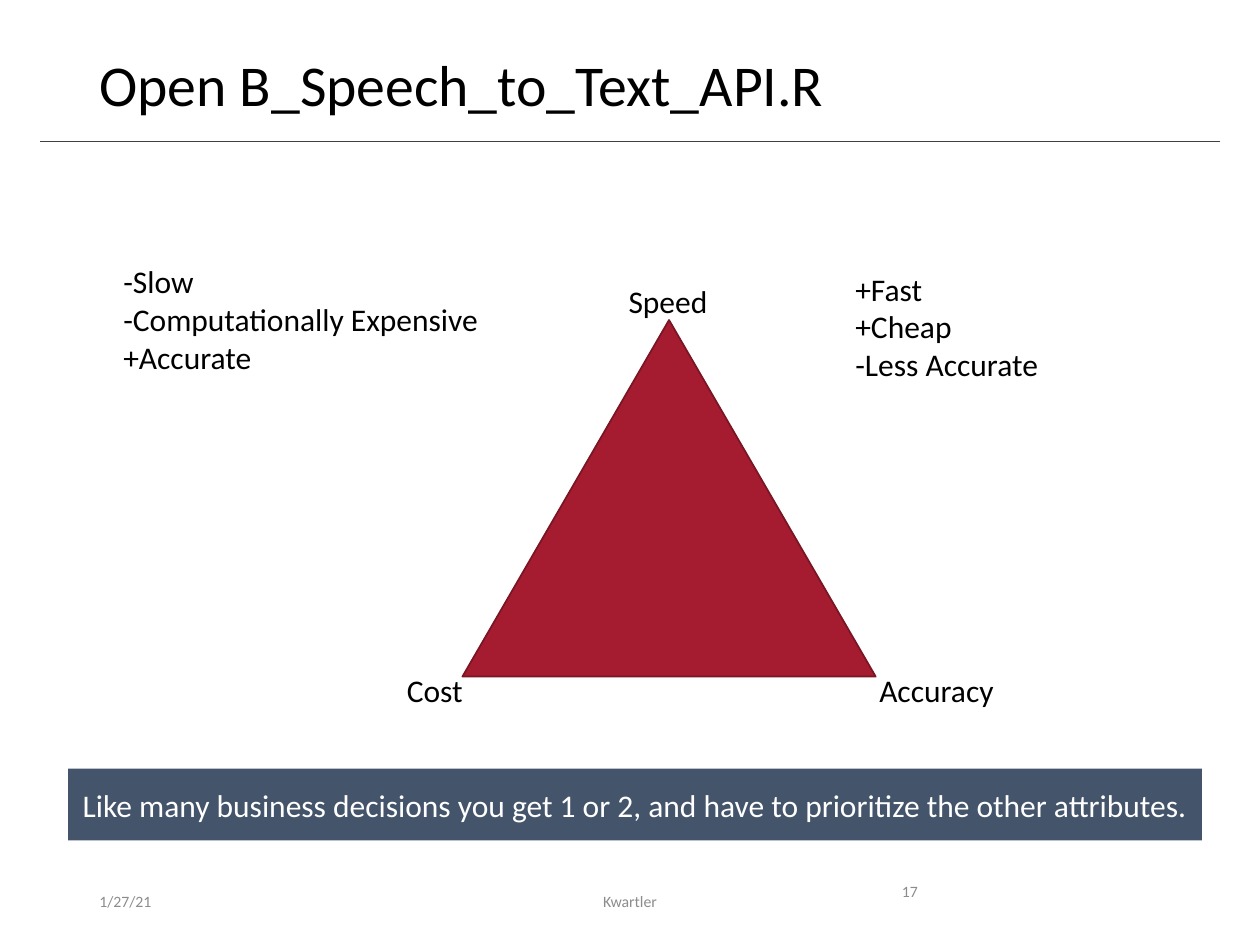
from dataclasses import dataclass

from lxml.etree import SubElement
from pptx import Presentation
from pptx.dml.color import RGBColor
from pptx.enum.shapes import MSO_CONNECTOR, MSO_SHAPE
from pptx.enum.text import MSO_ANCHOR, PP_ALIGN
from pptx.oxml.ns import qn
from pptx.util import Inches, Pt


@dataclass(frozen=True)
class Theme:
    font: str = "Calibri"
    text: str = "000000"
    light: str = "FFFFFF"
    muted: str = "8C8C8C"
    rule: str = "404040"
    crimson: str = "A51C30"
    crimson_dark: str = "7A1524"
    slate: str = "44546A"
    title_size: int = 33
    body_size: int = 18
    footer_size: int = 9


THEME = Theme()


def rgb(value):
    return RGBColor.from_string(value)


def box(at):
    return [Inches(v) for v in at]


def write(tf, *lines, size=THEME.body_size, color=THEME.text,
          align=PP_ALIGN.LEFT, anchor=MSO_ANCHOR.TOP, wrap=True, spacing=None):
    """Fill a text frame, one paragraph for each line."""
    tf.word_wrap = wrap
    tf.vertical_anchor = anchor
    for i, line in enumerate(lines):
        p = tf.paragraphs[0] if i == 0 else tf.add_paragraph()
        p.alignment = align
        p.line_spacing = spacing
        r = p.add_run()
        r.text = line
        r.font.name = THEME.font
        r.font.size = Pt(size)
        r.font.color.rgb = rgb(color)


def add_text(s, at, *lines, **fmt):
    write(s.shapes.add_textbox(*box(at)).text_frame, *lines, **fmt)


def add_shape(s, kind, at, fill, line=None):
    sp = s.shapes.add_shape(kind, *box(at))
    sp.shadow.inherit = False
    sp.fill.solid()
    sp.fill.fore_color.rgb = rgb(fill)
    if line:
        sp.line.color.rgb = rgb(line)
        sp.line.width = Pt(1)
    else:
        sp.line.fill.background()
    return sp


def add_rule(s, left, right, y):
    c = s.shapes.add_connector(MSO_CONNECTOR.STRAIGHT, *box((left, y, right, y)))
    c.line.color.rgb = rgb(THEME.rule)
    c.line.width = Pt(0.5)
    SubElement(c._element.spPr, qn("a:effectLst"))


def main():
    prs = Presentation()
    prs.slide_width, prs.slide_height = Inches(10), Inches(7.5)
    s = prs.slides.add_slide(prs.slide_layouts[6])

    # Title and rule
    add_rule(s, 0.32, 9.68, 1.12)
    add_text(s, (0.69, 0.4, 8.62, 0.65), "Open B_Speech_to_Text_API.R",
             size=THEME.title_size, spacing=0.9)

    # Trade-off triangle with its corner labels
    add_shape(s, MSO_SHAPE.ISOSCELES_TRIANGLE, (3.67, 2.54, 3.28, 2.83),
              THEME.crimson, THEME.crimson_dark)
    for label, left, top, width in (("Speed", 4.89, 2.19, 0.84),
                                    ("Cost", 3.13, 5.28, 0.65),
                                    ("Accuracy", 6.88, 5.28, 1.12)):
        add_text(s, (left, top, width, 0.4), label, wrap=False)

    # Pros and cons beside the triangle
    add_text(s, (0.88, 2.03, 3.05, 1.01),
             "-Slow", "-Computationally Expensive", "+Accurate", wrap=False)
    add_text(s, (6.69, 2.09, 1.67, 1.01),
             "+Fast", "+Cheap", "-Less Accurate", wrap=False)

    # Takeaway banner
    banner = add_shape(s, MSO_SHAPE.RECTANGLE, (0.54, 6.1, 9, 0.57), THEME.slate)
    write(banner.text_frame,
          "Like many business decisions you get 1 or 2, "
          "and have to prioritize the other attributes.",
          color=THEME.light, align=PP_ALIGN.CENTER, anchor=MSO_ANCHOR.MIDDLE)

    # Footer
    for text, left, width, align, anchor in (
            ("1/27/21", 0.69, 2.25, PP_ALIGN.LEFT, MSO_ANCHOR.MIDDLE),
            ("Kwartler", 3.31, 3.38, PP_ALIGN.CENTER, MSO_ANCHOR.MIDDLE),
            ("17", 7.06, 0.94, PP_ALIGN.LEFT, MSO_ANCHOR.TOP)):
        add_text(s, (left, 6.95, width, 0.4), text, size=THEME.footer_size,
                 color=THEME.muted, align=align, anchor=anchor)

    prs.save("out.pptx")


if __name__ == "__main__":
    main()
